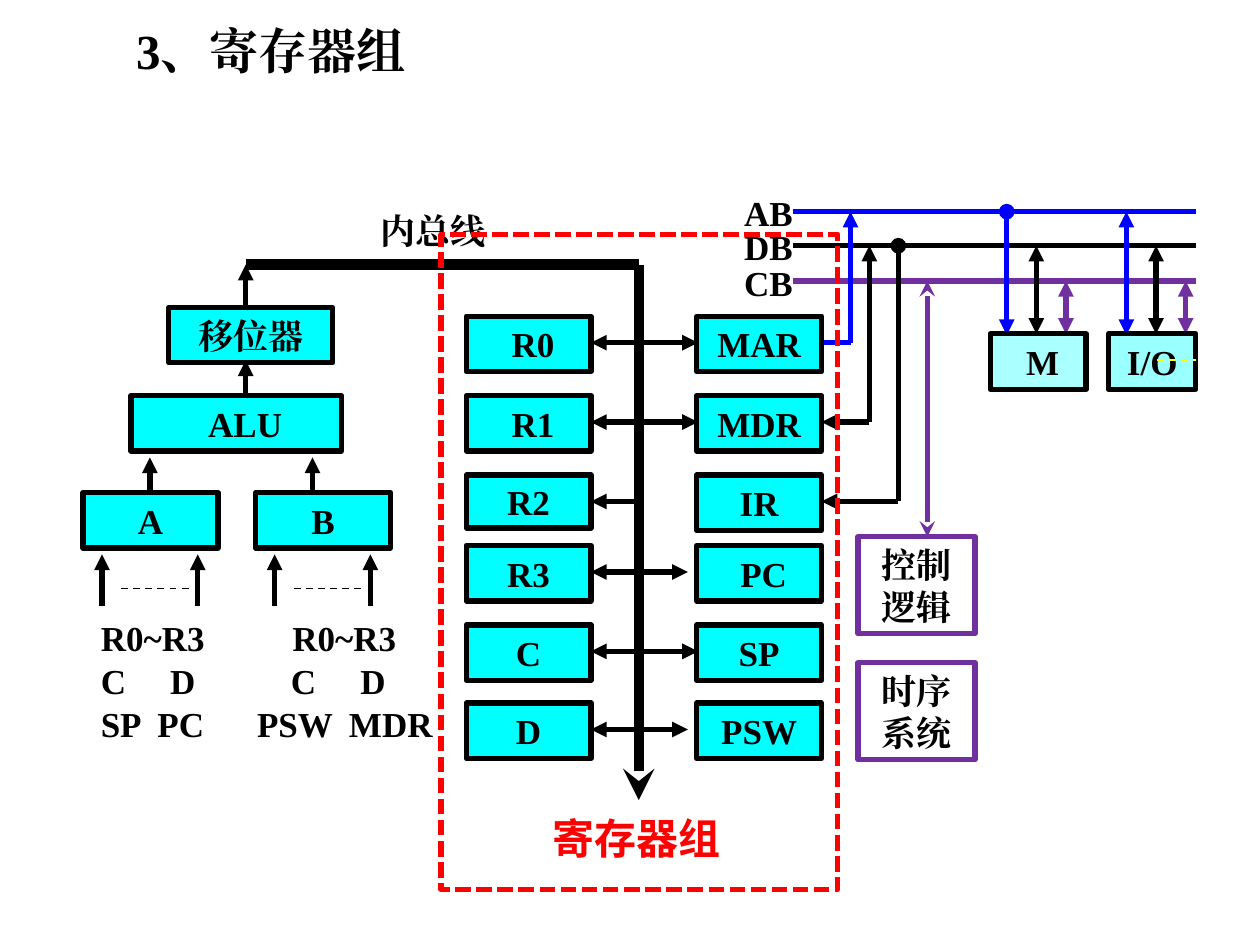
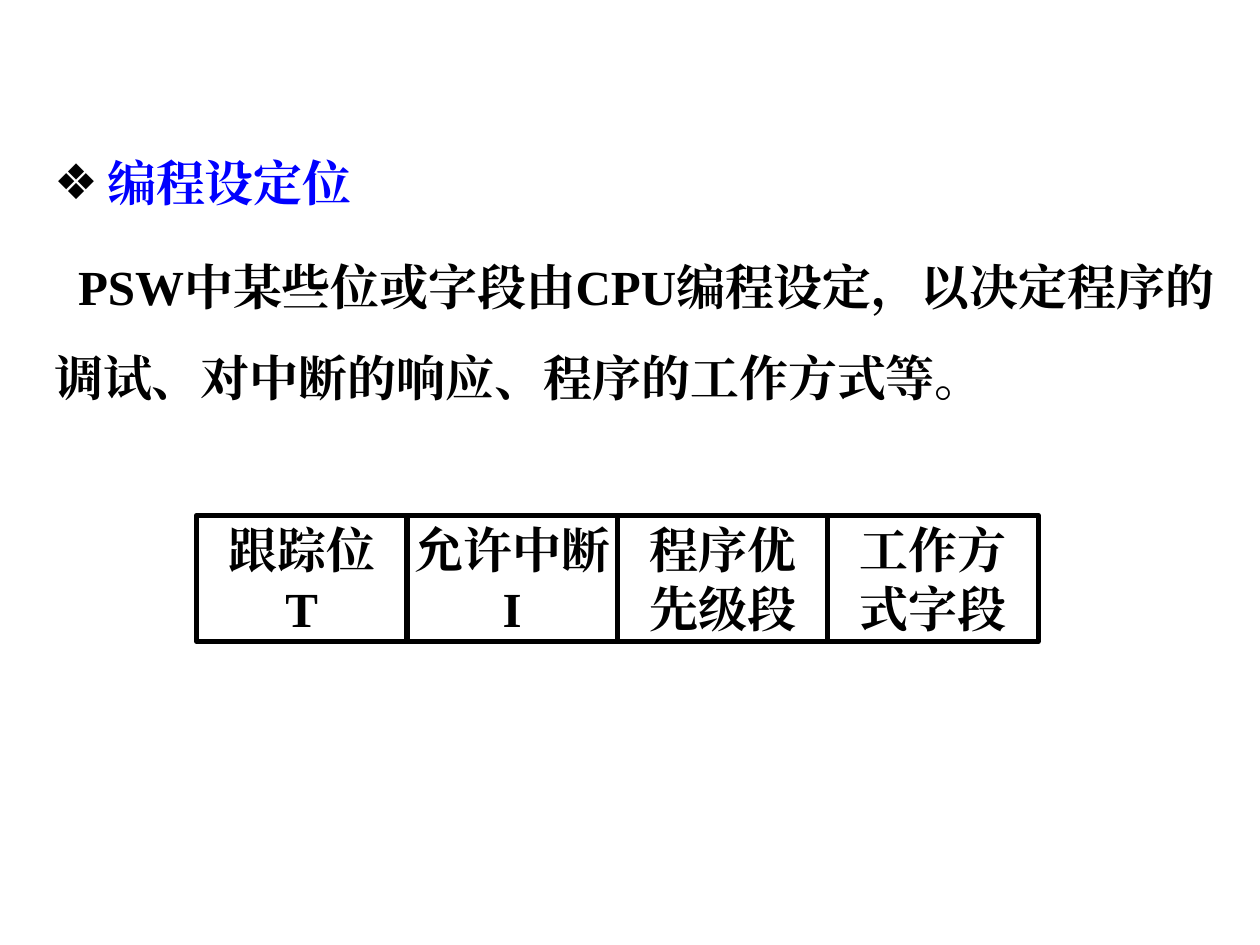
from lxml.etree import SubElement
from pptx import Presentation
from pptx.dml.color import RGBColor
from pptx.enum.dml import MSO_LINE
from pptx.enum.shapes import MSO_CONNECTOR, MSO_SHAPE
from pptx.enum.text import MSO_ANCHOR, MSO_AUTO_SIZE, PP_ALIGN
from pptx.oxml.ns import qn
from pptx.util import Inches, Pt

BLACK = RGBColor(0, 0, 0)
BLUE = RGBColor(0, 0, 255)
RED = RGBColor(255, 0, 0)
PURPLE = RGBColor(0x70, 0x30, 0xA0)
YELLOW = RGBColor(255, 255, 0)
CYAN = RGBColor(0, 255, 255)
PALE = RGBColor(0xAA, 255, 255)
LIGHT = RGBColor(0x99, 255, 255)
SERIF = "Times New Roman"
SANS = "Noto Sans CJK SC"
BOX_H = 0.44


def add_run(para, text, size=20, color=BLACK, face=SERIF):
    run = para.add_run()
    run.text = text
    font = run.font
    font.size = Pt(size)
    font.bold = True
    font.name = face
    font.color.rgb = color
    SubElement(run._r.get_or_add_rPr(), qn("a:ea"), typeface=face)


def set_frame(shape, anchor=MSO_ANCHOR.MIDDLE, side=0.1, nudge=0, edge=0.05):
    frame = shape.text_frame
    frame.word_wrap = True
    frame.auto_size = MSO_AUTO_SIZE.NONE
    frame.vertical_anchor = anchor
    frame.margin_left = Inches(side + nudge)
    frame.margin_right = Inches(side)
    frame.margin_top = frame.margin_bottom = Inches(edge)
    return frame


def next_para(frame, index):
    return frame.add_paragraph() if index else frame.paragraphs[0]


def place(shape, left, top, width, height):
    shape.left, shape.top = Inches(left), Inches(top)
    shape.width, shape.height = Inches(width), Inches(height)


def add_box(slide, left, top, width, height, lines=(), fill=None, edge=BLACK,
            size=20, nudge=0, side=0.1):
    box = slide.shapes.add_shape(MSO_SHAPE.RECTANGLE, Inches(left), Inches(top),
                                 Inches(width), Inches(height))
    box.shadow.inherit = False
    if fill is None:
        box.fill.background()
    else:
        box.fill.solid()
        box.fill.fore_color.rgb = fill
    box.line.color.rgb = edge
    box.line.width = Pt(3)
    frame = set_frame(box, side=side, nudge=nudge)
    for index, line in enumerate(lines):
        para = next_para(frame, index)
        para.alignment = PP_ALIGN.CENTER
        add_run(para, line, size)
    return box


def add_label(slide, text, left, top, width, height=BOX_H, size=20,
              color=BLACK, face=SERIF):
    label = slide.shapes.add_textbox(Inches(left), Inches(top),
                                     Inches(width), Inches(height))
    para = set_frame(label).paragraphs[0]
    para.alignment = PP_ALIGN.CENTER
    add_run(para, text, size, color, face)


def add_wire(slide, x1, y1, x2, y2, color=BLACK, width=3, head=None, tail=None,
             dash=None):
    wire = slide.shapes.add_connector(MSO_CONNECTOR.STRAIGHT, Inches(x1), Inches(y1),
                                      Inches(x2), Inches(y2))
    wire.line.color.rgb = color
    wire.line.width = Pt(width)
    if dash:
        wire.line.dash_style = dash
    props = wire.line._get_or_add_ln()
    for tag, kind in (("a:headEnd", head), ("a:tailEnd", tail)):
        if kind:
            SubElement(props, qn(tag), type=kind)
    SubElement(wire._element.spPr, qn("a:effectLst"))


def add_arrow(slide, x1, y1, x2, y2, color=BLACK, head=None):
    add_wire(slide, x1, y1, x2, y2, color, head=head, tail="triangle")


def draw_alu(slide):
    for x, start, end in ((1.19, 3.91, 3.63), (2.48, 3.91, 3.63),
                          (1.95, 3.14, 2.86), (1.95, 2.44, 2.1)):
        add_arrow(slide, x, start, x, end)
    for name, left in (("A", 0.66), ("B", 2.03)):
        for shift in (0.15, 0.91):
            add_arrow(slide, left + shift, 4.81, left + shift, 4.4)
        add_wire(slide, left + 0.3, 4.67, left + 0.84, 4.67, width=1, dash=MSO_LINE.DASH)
        add_box(slide, left, 3.91, 1.07, BOX_H, [name], CYAN)
    add_box(slide, 1.34, 2.44, 1.3, BOX_H, ["移位器"], CYAN)
    add_box(slide, 1.04, 3.14, 1.67, BOX_H, ["ALU"], CYAN, nudge=0.14)


def list_inputs(slide):
    rows = (
        ("R0~R3\tR0~R3", (1.52,)),
        ("C\tD\tC\tD", (0.55, 1.51, 2.06)),
        ("SP\tPC\tPSW\tMDR", (0.45, 1.24, 1.97)),
    )
    label = slide.shapes.add_textbox(Inches(0.8), Inches(4.89), Inches(2.8), Inches(1.04))
    frame = set_frame(label, MSO_ANCHOR.TOP, side=0, edge=0)
    for index, (text, stops) in enumerate(rows):
        para = next_para(frame, index)
        para.line_spacing = Pt(24.5)
        tabs = SubElement(para._p.get_or_add_pPr(), qn("a:tabLst"))
        for stop in stops:
            SubElement(tabs, qn("a:tab"), pos=str(Inches(stop)), algn="l")
        add_run(para, text)


def draw_buses(slide):
    for name, y, color in (("AB", 1.68, BLUE), ("DB", 1.95, BLACK), ("CB", 2.23, PURPLE)):
        add_wire(slide, 6.29, y, 9.49, y, color)
        add_label(slide, name, 5.68, y - 0.21, 0.84)
    for x, head in ((7.99, "oval"), (8.94, "triangle")):
        add_arrow(slide, x, 1.68, x, 2.66, BLUE, head)
        add_arrow(slide, x + 0.235, 1.95, x + 0.235, 2.65, head="triangle")
        add_arrow(slide, x + 0.47, 2.23, x + 0.47, 2.65, PURPLE, "triangle")
    add_wire(slide, 6.52, 2.72, 6.75, 2.72, BLUE)
    add_arrow(slide, 6.75, 2.72, 6.75, 1.68, BLUE)
    add_arrow(slide, 6.9, 3.35, 6.52, 3.35)
    add_arrow(slide, 6.9, 3.35, 6.9, 1.95)
    add_wire(slide, 7.13, 1.95, 7.13, 3.98, head="oval")
    add_arrow(slide, 7.13, 3.98, 6.52, 3.98)
    add_wire(slide, 7.36, 2.23, 7.36, 4.26, PURPLE, head="stealth", tail="stealth")
    add_box(slide, 7.86, 2.65, 0.76, BOX_H, ["M"], PALE, nudge=0.07)
    add_box(slide, 8.8, 2.65, 0.69, BOX_H, ["I/O"], LIGHT)
    add_wire(slide, 9.18, 2.86, 9.49, 2.86, YELLOW, 1, dash=MSO_LINE.DASH)
    for text, top in (("控制逻辑", 4.26), ("时序系统", 5.26)):
        add_box(slide, 6.81, top, 0.93, 0.77, [text], edge=PURPLE)


def draw_bank(slide):
    rows = (
        ("R0", "MAR", 2.51, 5.54, 0.07, 0),
        ("R1", "MDR", 3.14, 5.54, 0.07, 0),
        ("R2", "IR", 3.77, 5.08, 0, 0),
        ("R3", "PC", 4.33, 5.46, 0, 0.07),
        ("C", "SP", 4.96, 5.54, 0, 0),
        ("D", "PSW", 5.58, 5.46, 0, 0),
    )
    add_wire(slide, 1.95, 2.1, 5.07, 2.1, width=6)
    add_wire(slide, 5.07, 2.1, 5.07, 6.35, width=6, tail="stealth")
    for left, right, top, reach, shift, slip in rows:
        mid = top + 0.21
        add_arrow(slide, reach, mid, 4.69, mid, head=None if left == "R2" else "triangle")
        tall = 0.42 if left == "R2" else BOX_H
        add_box(slide, 3.7, top, 0.99, tall, [left], CYAN, nudge=shift)
        add_box(slide, 5.53, top, 0.99, BOX_H, [right], CYAN, nudge=slip)
    add_label(slide, "内总线", 2.64, 1.61, 1.6)
    border = add_box(slide, 3.5, 1.86, 3.15, 5.2, edge=RED)
    border.line.dash_style = MSO_LINE.SQUARE_DOT
    add_label(slide, "寄存器组", 4.27, 6.4, 1.57, 0.5, 24, RED, SANS)


def build_bank(deck):
    slide = deck.slides.add_slide(deck.slide_layouts[5])
    title = slide.shapes.title
    place(title, 0.98, 0.11, 4, 0.57)
    para = set_frame(title).paragraphs[0]
    para.alignment = PP_ALIGN.LEFT
    add_run(para, "3、寄存器组", 28)
    draw_alu(slide)
    list_inputs(slide)
    draw_buses(slide)
    draw_bank(slide)


def set_indent(para, left, first, mark=None):
    props = para._p.get_or_add_pPr()
    props.set("marL", str(Inches(left)))
    props.set("indent", str(Inches(first)))
    if mark:
        tint = SubElement(props, qn("a:buClr"))
        SubElement(tint, qn("a:srgbClr"), val=str(BLACK))
        SubElement(props, qn("a:buChar"), char=mark)
    else:
        SubElement(props, qn("a:buNone"))
    para.line_spacing = 1.54


def build_bits(deck):
    slide = deck.slides.add_slide(deck.slide_layouts[1])
    title = slide.shapes.title._element
    title.getparent().remove(title)
    body = slide.placeholders[1]
    place(body, 0.33, 0.91, 9.5, 2.23)
    frame = set_frame(body, MSO_ANCHOR.TOP)
    head = next_para(frame, 0)
    set_indent(head, 0.42, -0.42, "❖")
    head.space_before = Pt(0)
    add_run(head, "编程设定位", 28, BLUE)
    text = next_para(frame, 1)
    set_indent(text, 0, 0.19)
    text.space_before = Pt(7.5)
    add_run(text, "PSW中某些位或字段由CPU编程设定，以决定程序的调试、"
                  "对中断的响应、程序的工作方式等。", 28)
    fields = (("跟踪位", "T"), ("允许中断", "I"), ("程序优", "先级段"), ("工作方", "式字段"))
    for index, lines in enumerate(fields):
        add_box(slide, 1.56 + 1.67 * index, 4.09, 1.67, 1, lines, size=28, side=0.03)


def main():
    deck = Presentation()
    deck.slide_width, deck.slide_height = Inches(10), Inches(7.5)
    build_bank(deck)
    build_bits(deck)
    deck.save("out.pptx")


if __name__ == "__main__":
    main()
